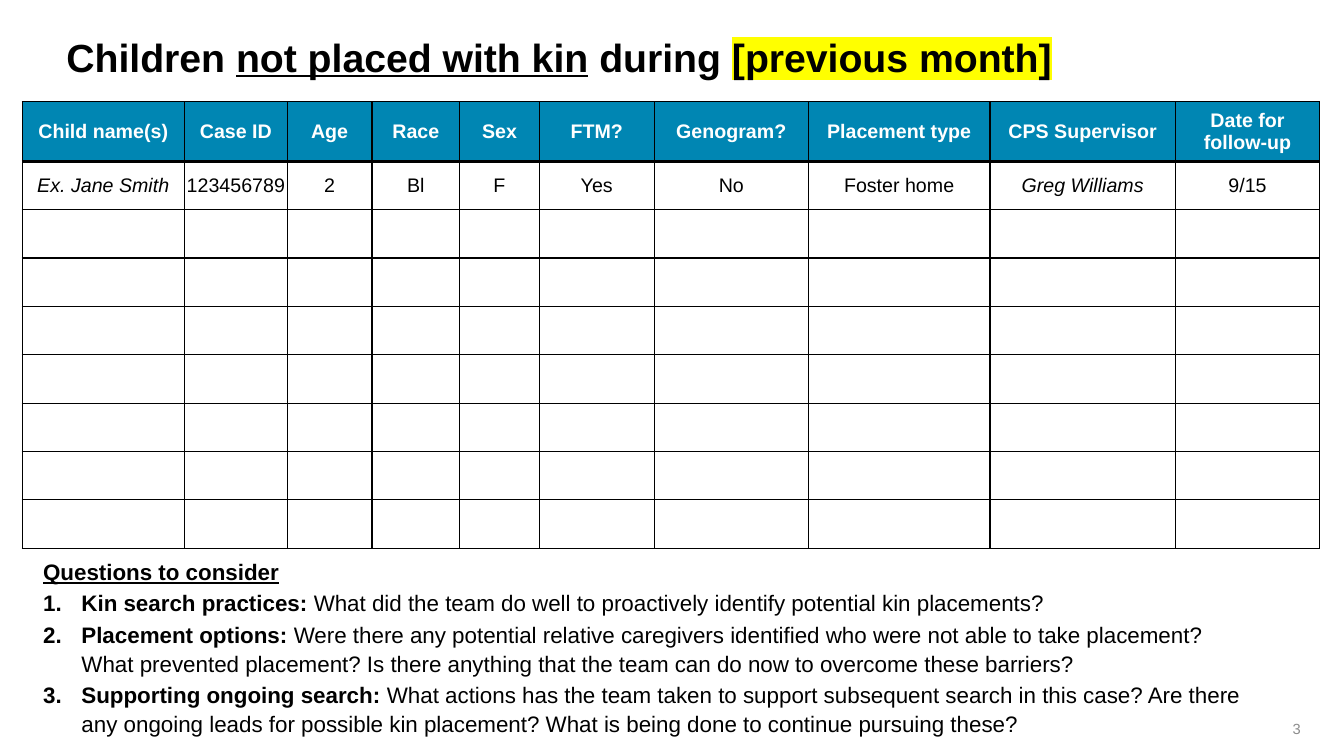
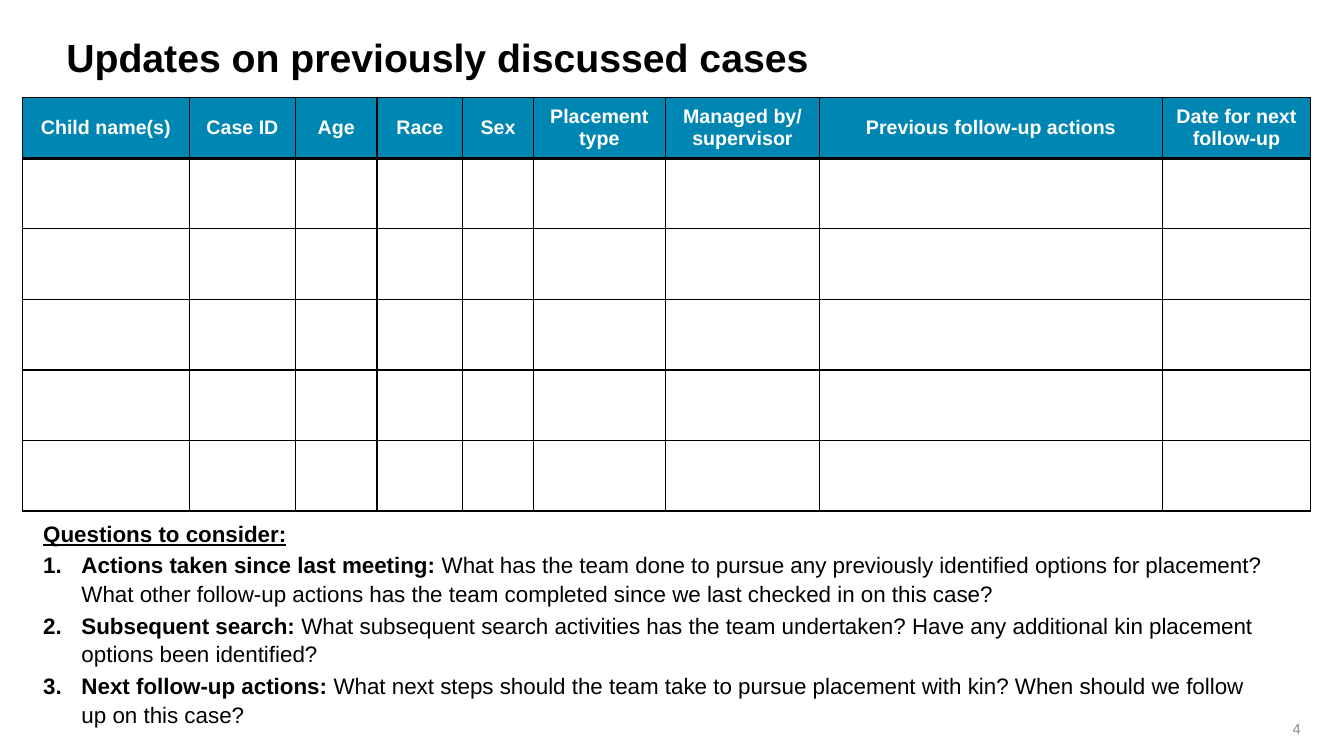
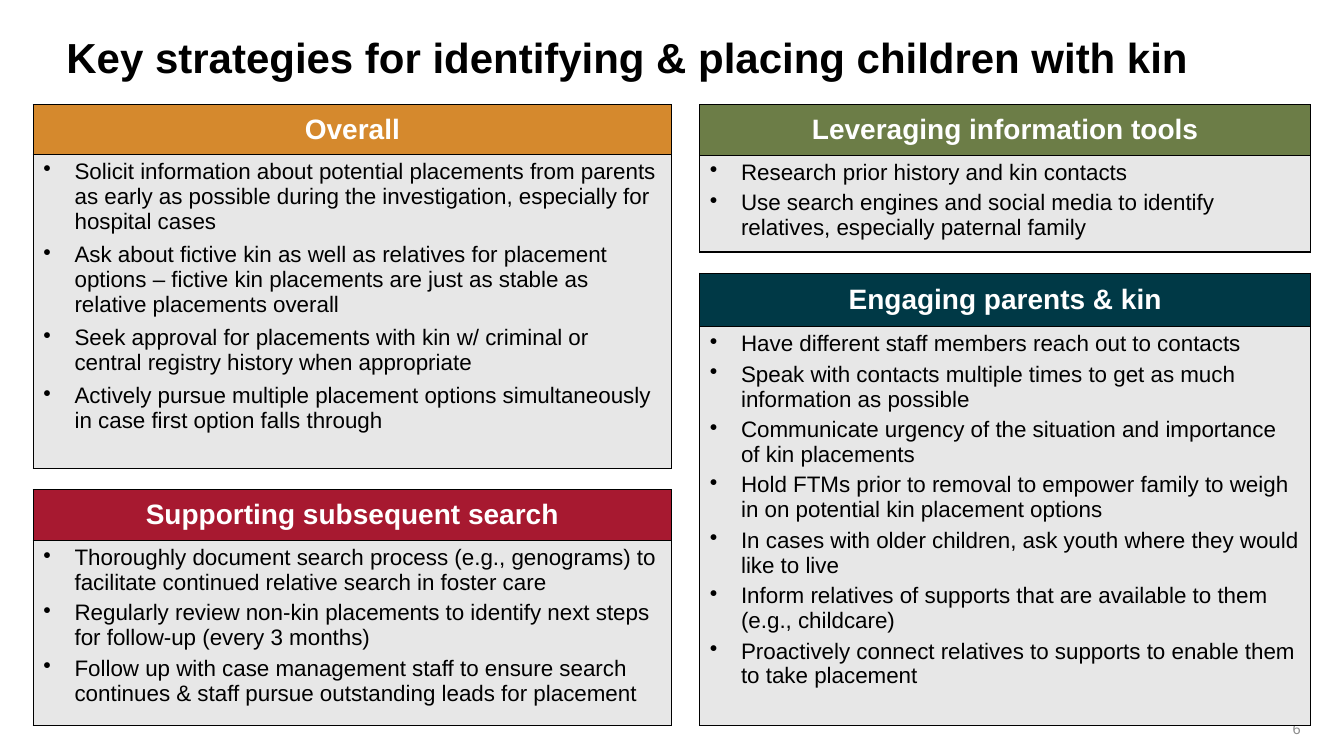
from lxml.etree import SubElement
from pptx import Presentation
from pptx.dml.color import RGBColor
from pptx.enum.text import MSO_ANCHOR, PP_ALIGN
from pptx.oxml.ns import qn
from pptx.util import Inches, Pt

FONT = "Arial"
BLACK, WHITE, GREY = "000000", "FFFFFF", "8C8C8C"
HEADER_BLUE, PANEL_GREY, HIGHLIGHT = "0086B3", "E7E7E7", "FFFF00"
THIN, THICK = 1, 2.25
TABLE_LEFT, PANEL_TOP, PANEL_GAP = 0.22, 1.04, 0.21

CASE_SLIDES = [
    {
        "number": 3,
        "title": [("Children ", {}), ("not placed with kin", {"underline": True}),
                  (" during ", {}), ("[previous month]", {"highlight": HIGHLIGHT})],
        "top": 1.01,
        "columns": [("Child name(s)", 1.61), ("Case ID", 1.02), ("Age", 0.84), ("Race", 0.87),
                    ("Sex", 0.79), ("FTM?", 1.14), ("Genogram?", 1.53), ("Placement type", 1.8),
                    ("CPS Supervisor", 1.84), ("Date for follow-up", 1.43)],
        "heights": [0.59] + [0.48] * 8,
        "example": ["Ex. Jane Smith", "123456789", "2", "Bl", "F", "Yes", "No",
                    "Foster home", "Greg Williams", "9/15"],
        "italic": {"Ex. Jane Smith", "Greg Williams"},
        "questions_box": (0.33, 5.38, 12.23, 2.07),
        "questions_title": "Questions to consider",
        "questions": [
            ("Kin search practices:",
             "What did the team do well to proactively identify potential kin placements?"),
            ("Placement options:",
             "Were there any potential relative caregivers identified who were not able to take "
             "placement? What prevented placement? Is there anything that the team can do now to "
             "overcome these barriers?"),
            ("Supporting ongoing search:",
             "What actions has the team taken to support subsequent search in this case? Are there "
             "any ongoing leads for possible kin placement? What is being done to continue "
             "pursuing these?"),
        ],
    },
    {
        "number": 4,
        "title": [("Updates on previously discussed cases", {})],
        "top": 0.97,
        "columns": [("Child name(s)", 1.66), ("Case ID", 1.05), ("Age", 0.81), ("Race", 0.85),
                    ("Sex", 0.7), ("Placement type", 1.31), ("Managed by/ supervisor", 1.53),
                    ("Previous follow-up actions", 3.4), ("Date for next follow-up", 1.47)],
        "heights": [0.6] + [0.7] * 5,
        "example": [],
        "italic": set(),
        "questions_box": (0.33, 5.16, 12.32, 2.04),
        "questions_title": "Questions to consider:",
        "questions": [
            ("Actions taken since last meeting:",
             "What has the team done to pursue any previously identified options for placement? "
             "What other follow-up actions has the team completed since we last checked in on "
             "this case?"),
            ("Subsequent search:",
             "What subsequent search activities has the team undertaken? Have any additional kin "
             "placement options been identified?"),
            ("Next follow-up actions:",
             "What next steps should the team take to pursue placement with kin? When should we "
             "follow up on this case?"),
        ],
    },
]

STRATEGY_TITLE = "Key strategies for identifying & placing children with kin"
STRATEGY_COLUMNS = [
    {"left": 0.33, "width": 6.33, "panels": [
        {"title": "Overall", "color": "D5892D", "heights": [0.49, 3.12], "space_after": 6,
         "items": [
             "Solicit information about potential placements from parents as early as possible "
             "during the investigation, especially for hospital cases",
             "Ask about fictive kin as well as relatives for placement options – fictive kin "
             "placements are just as stable as relative placements overall",
             "Seek approval for placements with kin w/ criminal or central registry history when "
             "appropriate",
             "Actively pursue multiple placement options simultaneously in case first option "
             "falls through"]},
        {"title": "Supporting subsequent search", "color": "A71930", "heights": [0.5, 1.84],
         "space_after": 4,
         "items": [
             "Thoroughly document search process (e.g., genograms) to facilitate continued "
             "relative search in foster care",
             "Regularly review non-kin placements to identify next steps for follow-up (every 3 "
             "months)",
             "Follow up with case management staff to ensure search continues & staff pursue "
             "outstanding leads for placement"]},
    ]},
    {"left": 6.94, "width": 6.06, "panels": [
        {"title": "Leveraging information tools", "color": "6C7D47", "heights": [0.5, 0.96],
         "space_after": 4,
         "items": [
             "Research prior history and kin contacts",
             "Use search engines and social media to identify relatives, especially paternal "
             "family"]},
        {"title": "Engaging parents & kin", "color": "003946", "heights": [0.53, 3.96],
         "space_after": 4,
         "items": [
             "Have different staff members reach out to contacts",
             "Speak with contacts multiple times to get as much information as possible",
             "Communicate urgency of the situation and importance of kin placements",
             "Hold FTMs prior to removal to empower family to weigh in on potential kin placement "
             "options",
             "In cases with older children, ask youth where they would like to live",
             "Inform relatives of supports that are available to them (e.g., childcare)",
             "Proactively connect relatives to supports to enable them to take placement"]},
    ]},
]


def rgb(value):
    return RGBColor.from_string(value)


def set_attributes(target, values):
    for name, value in values.items():
        setattr(target, name, value)


def add_run(paragraph, text, size, color=BLACK, highlight=None, **styles):
    run = paragraph.add_run()
    run.text = text
    set_attributes(run.font, {"size": Pt(size), **styles})
    run.font.color.rgb = rgb(color)
    if highlight:
        properties = run.font.fill._xPr
        mark = SubElement(properties, qn("a:highlight"))
        SubElement(mark, qn("a:srgbClr"), val=highlight)
    run.font.name = FONT


def set_bullet(paragraph, indent, tag, **values):
    """Give the paragraph a hanging indent and a bullet or automatic number."""
    properties = paragraph._p.get_or_add_pPr()
    properties.set("marL", str(Inches(indent)))
    properties.set("indent", str(-Inches(indent)))
    SubElement(properties, qn(tag), **values)


def paragraphs_of(text_frame, count):
    """Return the first paragraph followed by newly added ones."""
    return [text_frame.paragraphs[0]] + [text_frame.add_paragraph() for _ in range(count - 1)]


def add_text_frame(slide, box, **values):
    text_frame = slide.shapes.add_textbox(*map(Inches, box)).text_frame
    set_attributes(text_frame, {"word_wrap": True, "vertical_anchor": MSO_ANCHOR.MIDDLE, **values})
    return text_frame


def add_slide(presentation, title_runs, number, title_size=28):
    slide = presentation.slides.add_slide(presentation.slide_layouts[6])
    paragraph = add_text_frame(slide, (12.25, 7.03, 0.75, 0.4)).paragraphs[0]
    paragraph.alignment = PP_ALIGN.RIGHT
    add_run(paragraph, str(number), 10.5, GREY)
    title = add_text_frame(slide, (0.56, 0.29, 12.09, 0.59), margin_top=0)
    for text, styles in title_runs:
        add_run(title.paragraphs[0], text, title_size, bold=True, **styles)
    return slide


def set_borders(cell, top=THIN, bottom=THIN):
    properties = cell._tc.get_or_add_tcPr()
    sides = {"a:lnL": THIN, "a:lnR": THIN, "a:lnT": top, "a:lnB": bottom}
    for position, (tag, width) in enumerate(sides.items()):
        line = SubElement(properties, qn(tag), w=str(Pt(width)))
        fill = SubElement(line, qn("a:solidFill"))
        SubElement(fill, qn("a:srgbClr"), val=BLACK)
        properties.insert(position, line)


def add_grid(slide, left, top, widths, heights):
    """Add a table without style banding."""
    frame = slide.shapes.add_table(len(heights), len(widths), *map(
        Inches, (left, top, sum(widths), sum(heights))))
    table = frame.table
    set_attributes(table, {"first_row": False, "horz_banding": False})
    for column, width in zip(table.columns, widths):
        column.width = Inches(width)
    for row, height in zip(table.rows, heights):
        row.height = Inches(height)
    return table


def fill_cell(cell, color):
    if color:
        cell.fill.solid()
        cell.fill.fore_color.rgb = rgb(color)
    else:
        cell.fill.background()


def write_centred(cell, text, size, color, **styles):
    cell.vertical_anchor = MSO_ANCHOR.MIDDLE
    paragraph = cell.text_frame.paragraphs[0]
    paragraph.alignment = PP_ALIGN.CENTER
    add_run(paragraph, text, size, color, **styles)


def add_case_table(slide, content):
    names, widths = zip(*content["columns"])
    table = add_grid(slide, TABLE_LEFT, content["top"], widths, content["heights"])
    for row_index, row in enumerate(table.rows):
        for cell in row.cells:
            fill_cell(cell, None if row_index else HEADER_BLUE)
            set_borders(cell, top=THICK if row_index == 1 else THIN,
                        bottom=THIN if row_index else THICK)
    for cell, name in zip(table.rows[0].cells, names):
        write_centred(cell, name, 14, WHITE, bold=True)
    for cell, text in zip(table.rows[1].cells, content["example"]):
        set_attributes(cell, dict.fromkeys(
            ("margin_left", "margin_top", "margin_right", "margin_bottom"), 0))
        write_centred(cell, text, 14, BLACK, italic=text in content["italic"])


def add_questions(slide, content):
    text_frame = add_text_frame(slide, content["questions_box"])
    heading, *numbered = paragraphs_of(text_frame, len(content["questions"]) + 1)
    for paragraph in text_frame.paragraphs:
        set_attributes(paragraph, {"space_after": Pt(2), "line_spacing": 1.07})
    add_run(heading, content["questions_title"], 16, bold=True, underline=True)
    for paragraph, (topic, question) in zip(numbered, content["questions"]):
        set_bullet(paragraph, 0.38, "a:buAutoNum", type="arabicPeriod")
        add_run(paragraph, topic + " ", 16, bold=True)
        add_run(paragraph, question, 16)


def add_panel(slide, left, top, width, panel):
    table = add_grid(slide, left, top, [width], panel["heights"])
    header, body = table.cell(0, 0), table.cell(1, 0)
    for cell, color in ((header, panel["color"]), (body, PANEL_GREY)):
        fill_cell(cell, color)
        set_borders(cell)
    write_centred(header, panel["title"], 20, WHITE, bold=True)
    items = panel["items"]
    for paragraph, item in zip(paragraphs_of(body.text_frame, len(items)), items):
        paragraph.space_after = Pt(panel["space_after"])
        set_bullet(paragraph, 0.31, "a:buChar", char="•")
        add_run(paragraph, item, 16)


def main():
    presentation = Presentation()
    set_attributes(presentation, {"slide_width": Inches(13.33), "slide_height": Inches(7.5)})
    for content in CASE_SLIDES:
        slide = add_slide(presentation, content["title"], content["number"])
        add_case_table(slide, content)
        add_questions(slide, content)
    slide = add_slide(presentation, [(STRATEGY_TITLE, {})], 6, title_size=30)
    for column in STRATEGY_COLUMNS:
        top = PANEL_TOP
        for panel in column["panels"]:
            add_panel(slide, column["left"], top, column["width"], panel)
            top += sum(panel["heights"]) + PANEL_GAP
    presentation.save("out.pptx")


if __name__ == "__main__":
    main()
